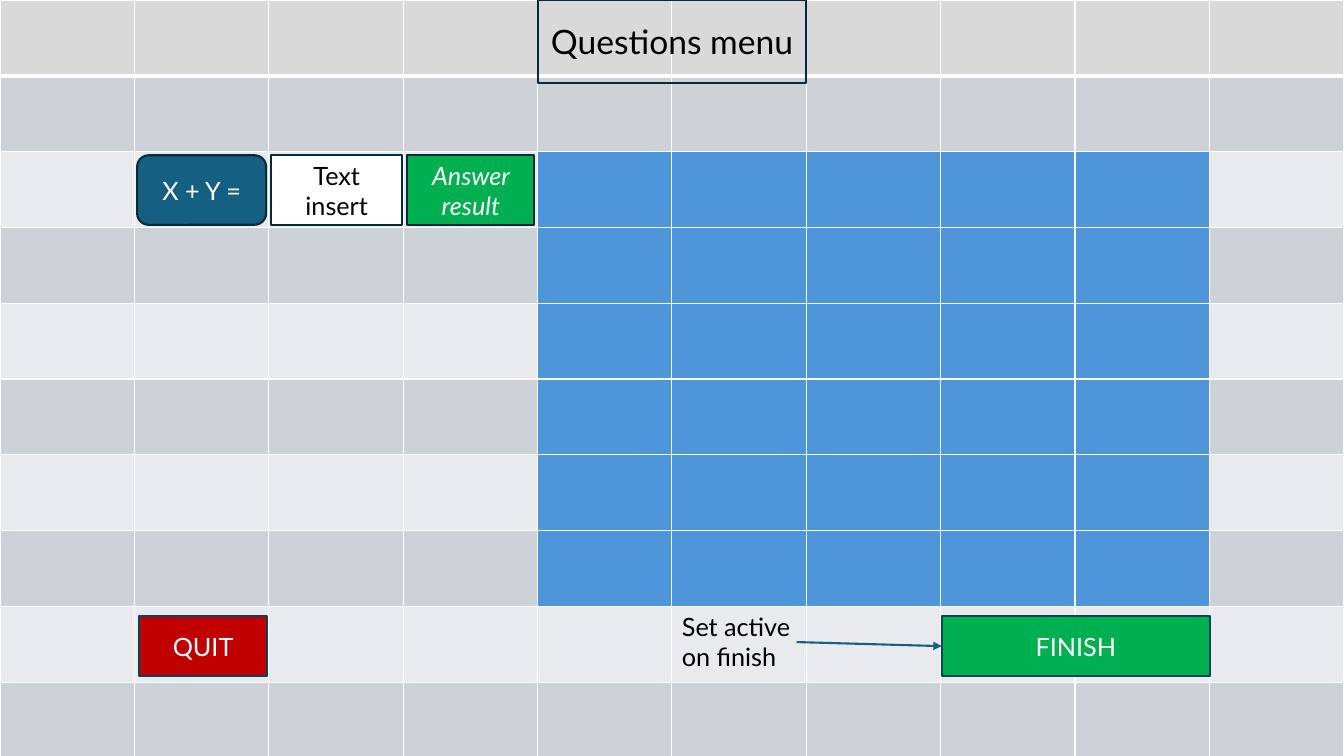
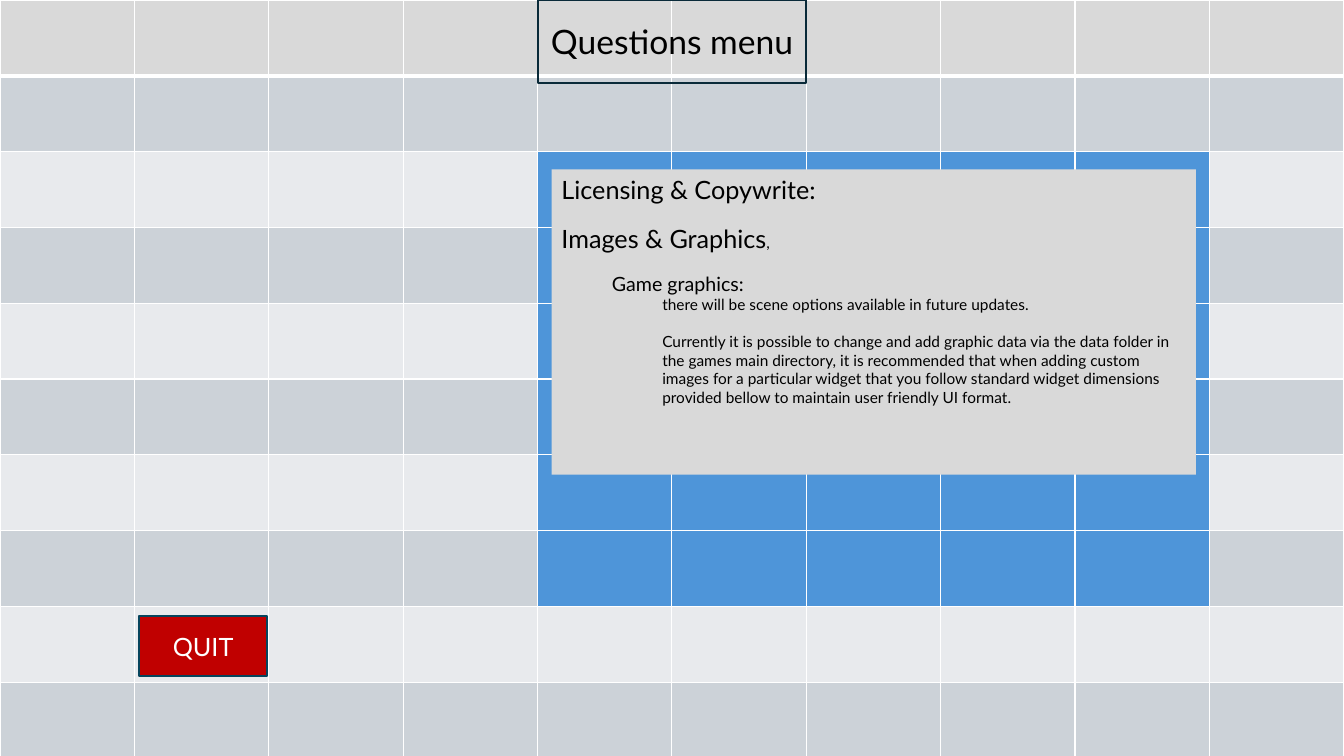
from lxml.etree import SubElement
from pptx import Presentation
from pptx.dml.color import RGBColor
from pptx.enum.shapes import MSO_CONNECTOR, MSO_SHAPE
from pptx.enum.text import MSO_ANCHOR, MSO_AUTO_SIZE, PP_ALIGN
from pptx.oxml.ns import qn
from pptx.util import Inches, Pt

FONT = "Lato"
BLACK, WHITE = "000000", "FFFFFF"
HEADER, BAND_DARK, BAND_LIGHT, BOARD = "D9D9D9", "CCD2D8", "E8EAED", "4E95D9"
TEAL, RED, GREEN = "156082", "C00000", "00B050"
EDGE, BUTTON_EDGE = "092A39", "07455D"

WIDTH, HEIGHT = 13.33, 7.5
GRID_HEIGHT = 7.52
GRID_SIZE = 10
BOARD_ROWS, BOARD_COLS = range(2, 8), range(4, 9)
BUTTON_TOP, BUTTON_HEIGHT = 6.11, 0.6
INDENT = 0.5
LINE_GAP = 13.2

# Text, size, indent level, space before
LICENSE_TEXT = [
    ([("Licensing & Copywrite:", 18)], 0, 0),
    ([("Images & Graphics", 18), (",", 11)], 0, LINE_GAP),
    ([("Game graphics:", 14)], 1, LINE_GAP),
    ([("there will be scene options available in future updates.", 11)], 2, 0),
    ([("Currently it is possible to change and add graphic data via the data "
       "folder in the games main directory, it is recommended that when adding "
       "custom images for a particular widget that you follow standard widget "
       "dimensions provided bellow to maintain user friendly UI format.", 11)],
     2, LINE_GAP),
]


def rgb(color):
    return RGBColor.from_string(color)


def style_font(font, size, color, italic=False):
    font.name = FONT
    font.size = Pt(size)
    font.color.rgb = rgb(color)
    font.italic = italic
    font.bold = False


def place(sp, box):
    sp.left, sp.top, sp.width, sp.height = (Inches(v) for v in box)


def style_line(line, color):
    line.color.rgb = rgb(color)
    line.width = Pt(1.5)


def set_label(sp, text, size, color, italic=False):
    tf = sp.text_frame
    tf.text = text
    tf.word_wrap = True
    tf.auto_size = MSO_AUTO_SIZE.NONE
    tf.vertical_anchor = MSO_ANCHOR.MIDDLE
    p = tf.paragraphs[0]
    p.alignment = PP_ALIGN.CENTER
    style_font(p.runs[0].font, size, color, italic)


def add_box(s, box, fill, edge=None, kind=MSO_SHAPE.RECTANGLE):
    sp = s.shapes.add_shape(kind, *(Inches(v) for v in box))
    sp.shadow.inherit = False
    sp.fill.solid()
    sp.fill.fore_color.rgb = rgb(fill)
    if edge:
        style_line(sp.line, edge)
    else:
        sp.line.fill.background()
    return sp


def add_button(s, left, width, text, fill):
    sp = add_box(s, (left, BUTTON_TOP, width, BUTTON_HEIGHT), fill, BUTTON_EDGE)
    set_label(sp, text, 18, WHITE)
    return sp


def set_borders(cell, row):
    tcPr = cell._tc.get_or_add_tcPr()
    widths = {"lnL": 1, "lnR": 1,
              "lnT": 3 if row == 1 else 1, "lnB": 3 if row == 0 else 1}
    for side, width in widths.items():
        ln = SubElement(tcPr, qn(f"a:{side}"), w=str(Pt(width)))
        fill = SubElement(ln, qn("a:solidFill"))
        SubElement(fill, qn("a:srgbClr"), val=WHITE)


def cell_color(row, col):
    if row == 0:
        return HEADER
    if row in BOARD_ROWS and col in BOARD_COLS:
        return BOARD
    return BAND_DARK if row % 2 else BAND_LIGHT


# Background grid with the game board
def add_grid(s, box):
    left, top, width, height = (Inches(v) for v in box)
    table = s.shapes.add_table(GRID_SIZE, GRID_SIZE, left, top, width, height).table
    table.first_row = table.horz_banding = False
    for i in range(GRID_SIZE):
        table.columns[i].width = width // GRID_SIZE
        table.rows[i].height = height // GRID_SIZE
        for j in range(GRID_SIZE):
            cell = table.cell(i, j)
            set_borders(cell, i)
            cell.fill.solid()
            cell.fill.fore_color.rgb = rgb(cell_color(i, j))
    return table


# Shared parts: grid, title and quit button
def add_menu_slide(prs):
    s = prs.slides.add_slide(prs.slide_layouts[5])
    table = add_grid(s, (0, 0, WIDTH, GRID_HEIGHT))
    title = s.shapes.title
    s.shapes._spTree.append(title._element)  # bring title in front of the grid
    place(title, (5.34, 0, 2.65, 0.82))
    style_line(title.line, EDGE)
    set_label(title, "Questions menu", 24, BLACK)
    add_button(s, 1.38, 1.27, "QUIT", RED)
    return s, table


# Question, answer field and result
def add_question_row(s, top, height):
    blank = MSO_SHAPE.ACTION_BUTTON_CUSTOM
    for left, width, kind, text, fill, color, italic in (
        (1.36, 1.28, MSO_SHAPE.ROUNDED_RECTANGLE, "X + Y =", TEAL, WHITE, False),
        (2.69, 1.3, blank, "Text insert", WHITE, BLACK, False),
        (4.04, 1.26, blank, "Answer result", GREEN, WHITE, True),
    ):
        sp = add_box(s, (left, top, width, height), fill, EDGE, kind)
        set_label(sp, text, 18, color, italic)


def add_arrow(s, start, target):
    x, y = (Inches(v) for v in start)
    arrow = s.shapes.add_connector(MSO_CONNECTOR.STRAIGHT, x, y, x, y)
    arrow.end_connect(target, 1)
    style_line(arrow.line, TEAL)
    SubElement(arrow.line._get_or_add_ln(), qn("a:tailEnd"), type="triangle")
    SubElement(arrow._element.spPr, qn("a:effectLst"))


# Licensing text panel
def add_license_panel(s, box):
    tf = add_box(s, box, HEADER).text_frame
    tf.word_wrap = True
    tf.vertical_anchor = MSO_ANCHOR.TOP
    for i, (runs, level, gap) in enumerate(LICENSE_TEXT):
        p = tf.add_paragraph() if i else tf.paragraphs[0]
        p.alignment = PP_ALIGN.LEFT
        p.level = level
        pPr = p._p.get_or_add_pPr()
        pPr.set("marL", str(Inches(INDENT * level)))
        pPr.set("indent", "0")
        if gap:
            p.space_before = Pt(gap)
        for text, size in runs:
            r = p.add_run()
            r.text = text
            style_font(r.font, size, BLACK)


def build_question_slide(prs):
    s, table = add_menu_slide(prs)
    add_question_row(s, 1.54, 0.69)
    note = table.cell(8, 5)
    note.text_frame.text = "Set active on finish"
    style_font(note.text_frame.paragraphs[0].runs[0].font, 18, BLACK)
    finish = add_button(s, 9.34, 2.66, "FINISH", GREEN)
    add_arrow(s, (7.9, 6.37), finish)


def build_license_slide(prs):
    s, _ = add_menu_slide(prs)
    add_license_panel(s, (5.47, 1.68, 6.39, 3.03))


def main():
    prs = Presentation()
    prs.slide_width, prs.slide_height = Inches(WIDTH), Inches(HEIGHT)
    build_question_slide(prs)
    build_license_slide(prs)
    prs.save("out.pptx")


if __name__ == "__main__":
    main()
